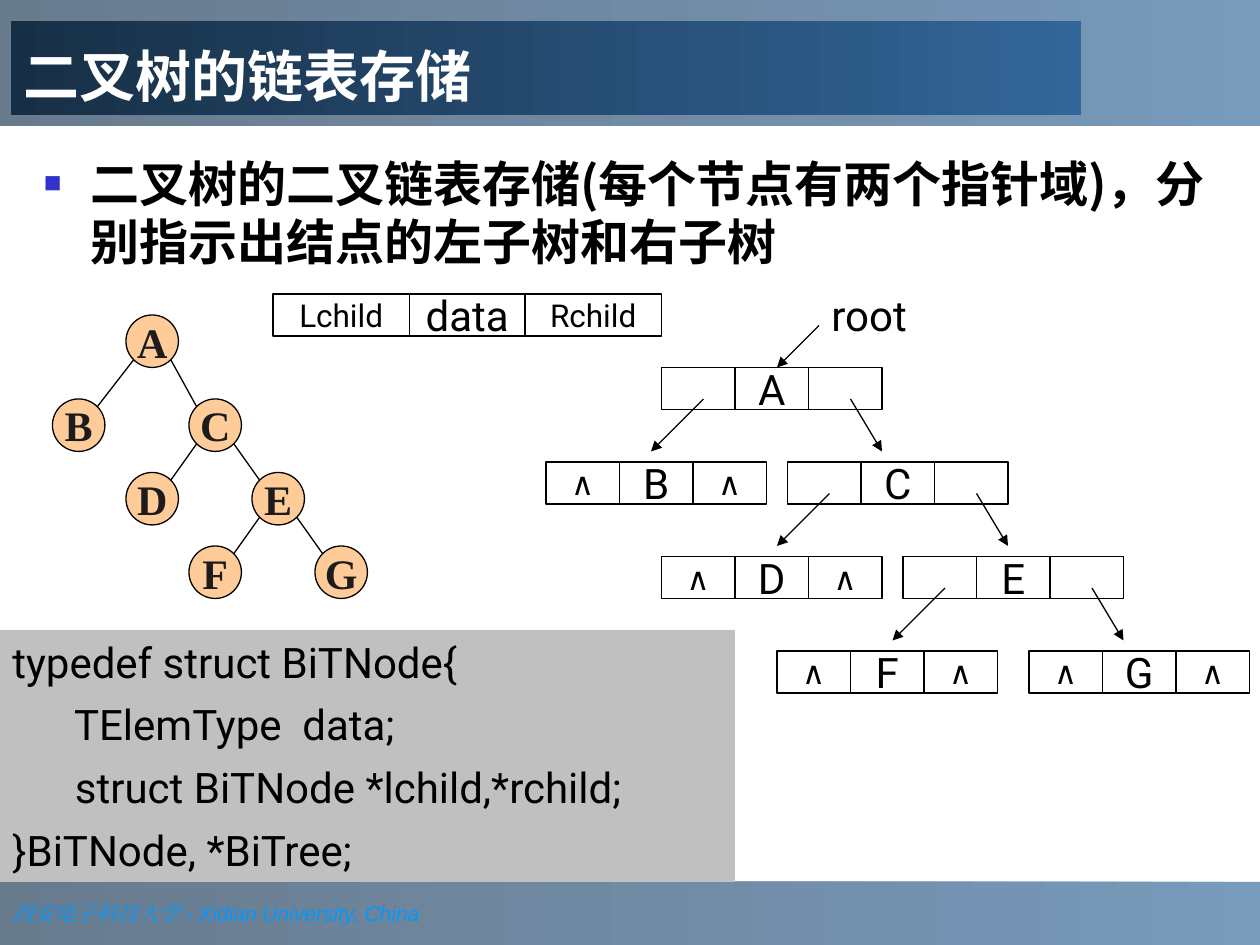
from lxml import etree
from pptx import Presentation
from pptx import util as u
from pptx.dml.color import RGBColor
from pptx.enum import shapes, text
from pptx.oxml.ns import qn

HUE = {"ink": "000000", "node": "FFCC99", "letter": "1C1C1C", "code": "C0C0C0",
       "white": "FFFFFF", "bullet": "3333CC", "foot": "0099FF",
       "sky": "336699", "dusk": "1B3753", "night": "172F46"}

# All places are in grid steps of a twelfth of an inch.
STEP = 2.54 / 12
NODE, CELL, HIGH = 5, 7, 4

TITLE = "二叉树的链表存储"
POINT = "二叉树的二叉链表存储(每个节点有两个指针域)，分别指示出结点的左子树和右子树"
FOOT = [("西安电子科技大学 ", "Times New Roman"), ("- Xidian University, China", "Arial")]
CODE = ["typedef struct BiTNode{",
        "      TElemType  data;",
        "      struct BiTNode *lchild,*rchild;",
        "}BiTNode, *BiTree;"]
FIELDS = [("Lchild", 13, 18), ("data", 11, 24), ("Rchild", 13, 18)]
KIDS = {"A": "BC", "C": "DE", "E": "FG"}
TREE = {"A": (12, 30), "B": (5, 38), "C": (18, 38), "D": (12, 45),
        "E": (24, 45), "F": (18, 52), "G": (30, 52)}
LINKED = {"A": (63, 35), "B": (52, 44), "C": (75, 44), "D": (63, 53),
          "E": (86, 53), "F": (74, 62), "G": (98, 62)}

PLAIN = {"name": "Roboto", "size": u.Pt(24)}
MID = text.MSO_ANCHOR.MIDDLE
RECT = shapes.MSO_SHAPE.RECTANGLE

deck = Presentation()
deck.slide_width, deck.slide_height = u.Cm(25.4), u.Cm(19.05)
slide = deck.slides.add_slide(deck.slide_layouts[5])
items = slide.shapes


def grid(*steps):
    return [u.Cm(n * STEP) for n in steps]


def color(name):
    return RGBColor.from_string(HUE[name])


def write(para, words, hue="ink", **form):
    """Add a run, with the same font for Latin and East Asian letters."""
    run = para.add_run()
    run.text = words
    for key, val in {**PLAIN, **form}.items():
        setattr(run.font, key, val)
    run.font.color.rgb = color(hue)
    etree.SubElement(run.font._element, qn("a:ea"), typeface=run.font.name)


def frame(shape, anchor=text.MSO_ANCHOR.TOP, wrap=True):
    """Set up the text frame and return its first paragraph."""
    body = shape.text_frame
    form = {"word_wrap": wrap, "vertical_anchor": anchor,
            "auto_size": text.MSO_AUTO_SIZE.NONE}
    for key, val in form.items():
        setattr(body, key, val)
    body.paragraphs[0].alignment = text.PP_ALIGN.LEFT
    return body.paragraphs[0]


def shade(shape, right, left, alpha=None):
    shape.fill.gradient()
    shape.fill.gradient_angle = 180
    for stop, hue in zip(shape.fill.gradient_stops, (right, left)):
        stop.color.rgb = color(hue)
    if alpha:
        for tone in shape.fill._xPr.iter(qn("a:srgbClr")):
            etree.SubElement(tone, qn("a:alpha"), val=str(alpha * 1000))


def block(kind, place, fill=None, edge=True):
    shape = items.add_shape(kind, *grid(*place))
    shape.shadow.inherit = False
    if fill:
        shape.fill.solid()
        shape.fill.fore_color.rgb = color(fill)
    else:
        shape.fill.background()
    if edge:
        shape.line.color.rgb = color("ink")
        shape.line.width = u.Pt(0.75)
    else:
        shape.line.fill.background()
    return shape


def label(shape, words, **form):
    para = frame(shape, MID, wrap=False)
    para.alignment = text.PP_ALIGN.CENTER
    write(para, words, **form)


def link(x1, y1, x2, y2, arrow=False):
    line = items.add_connector(shapes.MSO_CONNECTOR.STRAIGHT, *grid(x1, y1, x2, y2))
    line.line.color.rgb = color("ink")
    line.line.width = u.Pt(0.75)
    if arrow:
        etree.SubElement(line.line._get_or_add_ln(), qn("a:tailEnd"), type="triangle")
    etree.SubElement(line._element.spPr, qn("a:effectLst"))


def bands():
    for top, high in ((84, 6), (0, 12)):
        band = block(RECT, (0, top, 120, high), edge=False)
        shade(band, "sky", "dusk", 66)
        if top:
            para = frame(band, MID)
            for words, font in FOOT:
                write(para, words, "foot", name=font, size=u.Pt(12), italic=True)


def heading():
    head = items.title
    items._spTree.append(head._element)
    head.left, head.top, head.width, head.height = grid(1, 2, 102, 9)
    shade(head, "sky", "night")
    write(frame(head, text.MSO_ANCHOR.BOTTOM), TITLE, "white", size=u.Pt(32), bold=True)


def point():
    para = frame(items.add_textbox(*grid(3, 14, 114, 15)))
    para.line_spacing = u.Pt(33.6)
    props = para._p.get_or_add_pPr()
    inset = u.Cm(0.95)
    props.set("marL", str(inset))
    props.set("indent", str(-inset))
    tint = etree.SubElement(props, qn("a:buClr"))
    etree.SubElement(tint, qn("a:srgbClr"), val=HUE["bullet"])
    etree.SubElement(props, qn("a:buSzPct"), val="60000")
    etree.SubElement(props, qn("a:buFont"), typeface="Arial")
    etree.SubElement(props, qn("a:buChar"), char="■")
    write(para, POINT, name="Noto Sans CJK SC", size=u.Pt(28), bold=True)


def tree():
    half = NODE / 2
    rim = half * 0.71
    for top, pair in KIDS.items():
        x, y = (n + half for n in TREE[top])
        for kid, side in zip(pair, (-1, 1)):
            kx, ky = (n + half for n in TREE[kid])
            link(x + side * rim, y + rim, kx - side * rim, ky - rim)
    for name, (x, y) in TREE.items():
        ball = block(shapes.MSO_SHAPE.OVAL, (x, y, NODE, NODE), "node")
        label(ball, name, hue="letter", name="Times New Roman", bold=True)


def record():
    x = 26
    for words, wide, size in FIELDS:
        label(block(RECT, (x, 28, wide, HIGH)), words, size=u.Pt(size))
        x += wide


def linked():
    for name, (x, y) in LINKED.items():
        end = "" if name in KIDS else "∧"
        for i, (words, size) in enumerate(((end, 18), (name, 24), (end, 18))):
            cell = block(RECT, (x + i * CELL, y, CELL, HIGH))
            if words:
                label(cell, words, size=u.Pt(size))
        if name in KIDS:
            link(x + 4, y + 3, x - 1, y + 8, arrow=True)
            link(x + 18, y + 3, x + 21, y + 8, arrow=True)
    link(78, 31, 74, 35, arrow=True)
    write(frame(items.add_textbox(*grid(78, 27, 14, 6))), "root")


def code():
    box = block(RECT, (0, 60, 70, 24), "code", edge=False)
    para = frame(box)
    for i, words in enumerate(CODE):
        if i:
            para = box.text_frame.add_paragraph()
            para.alignment = text.PP_ALIGN.LEFT
            para.space_before = u.Pt(7)
        write(para, words)


for draw in (bands, heading, point, tree, linked, record, code):
    draw()
deck.save("out.pptx")
